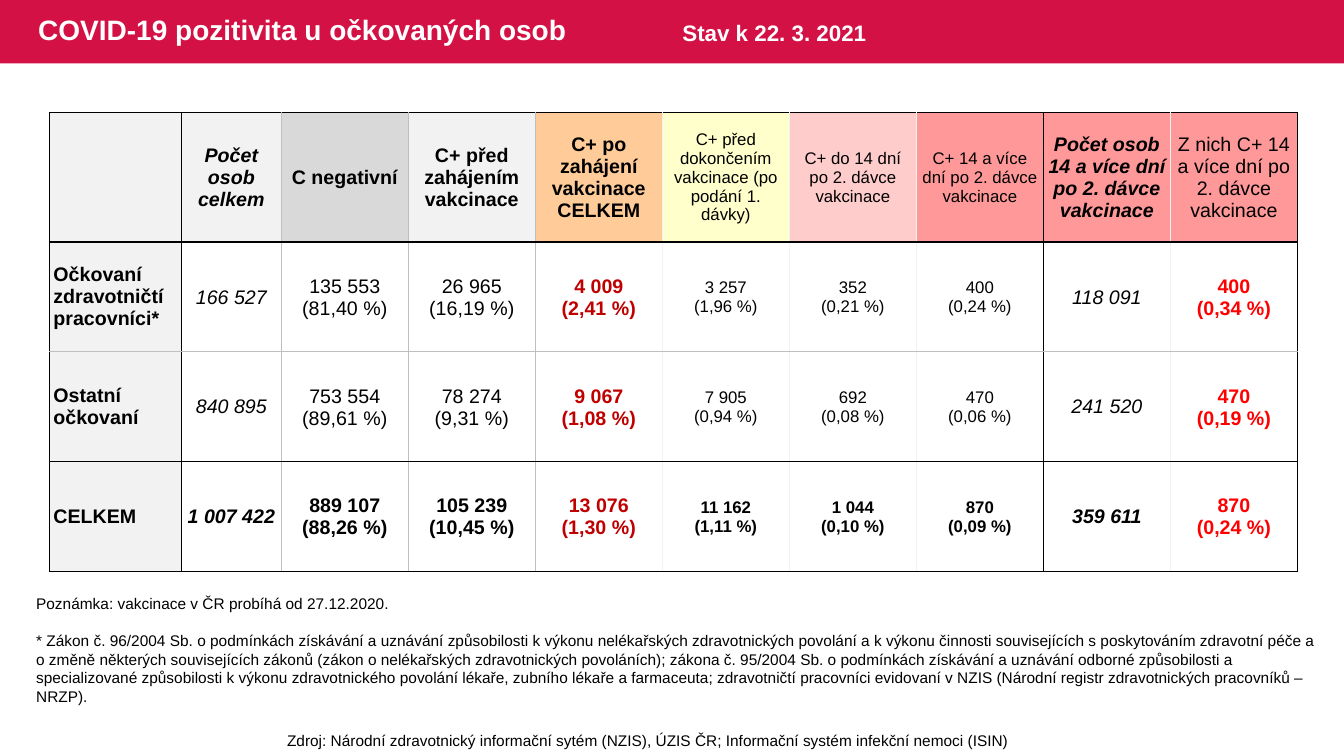
from copy import deepcopy
from lxml import etree
from pptx import Presentation
from pptx.dml.color import RGBColor
from pptx.enum.shapes import MSO_SHAPE
from pptx.enum.text import MSO_ANCHOR, MSO_AUTO_SIZE, PP_ALIGN
from pptx.oxml.ns import qn
from pptx.util import Inches, Pt

RECT = MSO_SHAPE.RECTANGLE
TOP, MIDDLE = MSO_ANCHOR.TOP, MSO_ANCHOR.MIDDLE
LEFT, CENTER = PP_ALIGN.LEFT, PP_ALIGN.CENTER
NONE, GROW = MSO_AUTO_SIZE.NONE, MSO_AUTO_SIZE.SHAPE_TO_FIT_TEXT

THEME = {
    "font": "Arial",
    "banner": "D31145", "white": "FFFFFF", "black": "000000",
    "dark_red": "C00000", "red": "FF0000",
    "pale": "F2F2F2", "gray": "D9D9D9", "line": "BFBFBF",
    "orange": "FFCC99", "yellow": "FFFFCC", "pink": "FFCCCC", "rose": "FF9999",
    "title": 20, "date": 16, "cell": 14, "detail": 12, "note": 11,
}


def write(p, text, size, color="black", bold=False, italic=False, align=LEFT):
    p.text = text
    p.alignment = align
    fmt = {"name": THEME["font"], "size": Pt(THEME[size]), "bold": bold, "italic": italic}
    for r in p.runs:
        for key, value in fmt.items():
            setattr(r.font, key, value)
        r.font.color.rgb = RGBColor.from_string(THEME[color])
    # Line breaks take the type size of the text around them
    for br in p._p.findall(qn("a:br")):
        br.append(deepcopy(p.runs[0]._r.rPr))


def add_text(x, y, w, h, paragraphs, size, anchor=TOP, auto_size=GROW, gap=0, **fmt):
    tf = s.shapes.add_textbox(Inches(x), Inches(y), Inches(w), Inches(h)).text_frame
    tf.word_wrap = True
    tf.auto_size = auto_size
    tf.vertical_anchor = anchor
    for i, text in enumerate(paragraphs):
        p = tf.add_paragraph() if i else tf.paragraphs[0]
        write(p, text, size, **fmt)
        if i:
            p.space_before = Pt(gap)
    return tf


prs = Presentation()
prs.slide_width, prs.slide_height = Inches(13.33), Inches(7.5)
s = prs.slides.add_slide(prs.slide_layouts[6])

# Banner with title and date
banner = s.shapes.add_shape(RECT, 0, 0, prs.slide_width, Inches(0.63))
banner.shadow.inherit = False
banner.fill.solid()
banner.fill.fore_color.rgb = RGBColor.from_string(THEME["banner"])
banner.line.fill.background()
title = add_text(0.28, 0, 8.13, 0.63, ["COVID-19 pozitivita u očkovaných osob"], "title",
                 anchor=MIDDLE, auto_size=NONE, color="white", bold=True)
title.paragraphs[0].line_spacing = 0.9
add_text(6.67, 0.14, 2.2, 0.37, ["Stav k 22. 3. 2021"], "date", color="white", bold=True)

# Notes under the table
add_text(0.26, 5.85, 13.02, 1.03, [
    "Poznámka: vakcinace v ČR probíhá od 27.12.2020.",
    "* Zákon č. 96/2004 Sb. o podmínkách získávání a uznávání způsobilosti k výkonu "
    "nelékařských zdravotnických povolání a k výkonu činnosti souvisejících s poskytováním "
    "zdravotní péče a o změně některých souvisejících zákonů (zákon o nelékařských "
    "zdravotnických povoláních); zákona č. 95/2004 Sb. o podmínkách získávání a uznávání "
    "odborné způsobilosti a specializované způsobilosti k výkonu zdravotnického povolání "
    "lékaře, zubního lékaře a farmaceuta; zdravotničtí pracovníci evidovaní v NZIS "
    "(Národní registr zdravotnických pracovníků – NRZP).",
], "note", gap=13)

# Table columns: heading, fill, size, heading bold, italic, body colour, body bold
COLUMNS = [
    ("", "pale", "cell", True, False, "black", True),
    ("Počet osob celkem", "pale", "cell", True, True, "black", False),
    ("C negativní", "gray", "cell", True, False, "black", False),
    ("C+ před zahájením vakcinace", "pale", "cell", True, False, "black", False),
    ("C+ po zahájení vakcinace CELKEM", "orange", "cell", True, False, "dark_red", True),
    ("C+ před dokončením vakcinace (po podání 1. dávky)", "yellow", "detail",
     False, False, "black", False),
    ("C+ do 14 dní po 2. dávce vakcinace", "pink", "detail", False, False, "black", False),
    ("C+ 14 a více dní po 2. dávce vakcinace", "rose", "detail", False, False, "black", False),
    ("Počet osob 14 a více dní po 2. dávce vakcinace", "rose", "cell",
     True, True, "black", False),
    ("Z nich C+ 14 a více dní po 2. dávce vakcinace", "rose", "cell",
     False, False, "red", True),
]
ROWS = [
    [column[0] for column in COLUMNS],
    ["Očkovaní zdravotničtí pracovníci*", "166 527", "135 553\n(81,40 %)",
     "26 965\n(16,19 %)", "4 009\n(2,41 %)", "3 257\n(1,96 %)", "352\n(0,21 %)",
     "400\n(0,24 %)", "118 091", "400\n(0,34 %)"],
    ["Ostatní očkovaní", "840 895", "753 554\n(89,61 %)", "78 274\n(9,31 %)",
     "9 067\n(1,08 %)", "7 905\n(0,94 %)", "692\n(0,08 %)", "470\n(0,06 %)",
     "241 520", "470\n(0,19 %)"],
    ["CELKEM", "1 007 422", "889 107\n(88,26 %)", "105 239\n(10,45 %)",
     "13 076\n(1,30 %)", "11 162\n(1,11 %)", "1 044\n(0,10 %)", "870\n(0,09 %)",
     "359 611", "870\n(0,24 %)"],
]
COL_WIDTHS = [1.31, 0.99] + [1.26] * 8
ROW_HEIGHTS = [1.28] + [1.09] * 3
# Grid lines from left to right and from top to bottom
V_LINES = ["black"] * 2 + ["line"] * 3 + ["pale"] * 3 + ["black", "pale", "black"]
H_LINES = ["black", "black", "line", "black", "black"]

table = s.shapes.add_table(len(ROWS), len(COLUMNS), Inches(0.49), Inches(1.12),
                           Inches(sum(COL_WIDTHS)), Inches(sum(ROW_HEIGHTS))).table
table.first_row = table.horz_banding = False
for column, width in zip(table.columns, COL_WIDTHS):
    column.width = Inches(width)
for row, height in zip(table.rows, ROW_HEIGHTS):
    row.height = Inches(height)

for i, texts in enumerate(ROWS):
    for j, text in enumerate(texts):
        _, fill, size, head_bold, italic, color, body_bold = COLUMNS[j]
        cell = table.cell(i, j)
        shaded = i == 0 or j == 0
        side = 0.04 if shaded else 0.01
        cell.margin_left = cell.margin_right = Inches(side)
        cell.margin_top = Inches(0 if shaded else 0.01)
        cell.margin_bottom = 0
        cell.vertical_anchor = MIDDLE
        bold = head_bold if i == 0 else body_bold or i == len(ROWS) - 1
        write(cell.text_frame.paragraphs[0], text, size, color if i else "black",
              bold, italic, CENTER if j else LEFT)

        # Borders come before the fill in the cell properties
        tcPr = cell._tc.get_or_add_tcPr()
        borders = {"lnL": V_LINES[j], "lnR": V_LINES[j + 1],
                   "lnT": H_LINES[i], "lnB": H_LINES[i + 1]}
        for tag, line_color in borders.items():
            ln = etree.SubElement(tcPr, qn(f"a:{tag}"), w=str(Pt(1)))
            solid = etree.SubElement(ln, qn("a:solidFill"))
            etree.SubElement(solid, qn("a:srgbClr"), val=THEME[line_color])
        if shaded:
            cell.fill.solid()
            cell.fill.fore_color.rgb = RGBColor.from_string(THEME[fill])
        else:
            cell.fill.background()

# Source line
add_text(1.9, 7.2, 9.06, 0.29, [
    "Zdroj: Národní zdravotnický informační sytém (NZIS), ÚZIS ČR; "
    "Informační systém infekční nemoci (ISIN)",
], "note", align=CENTER)

prs.save("out.pptx")
